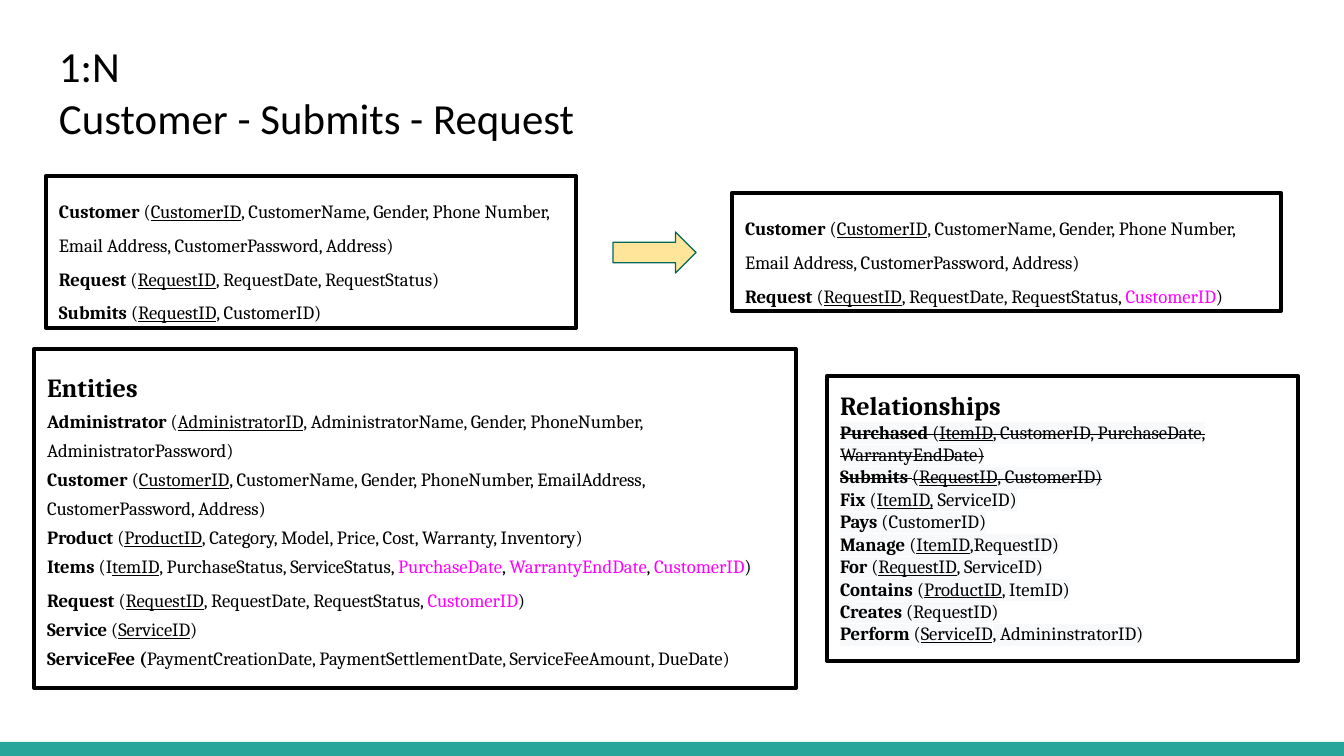
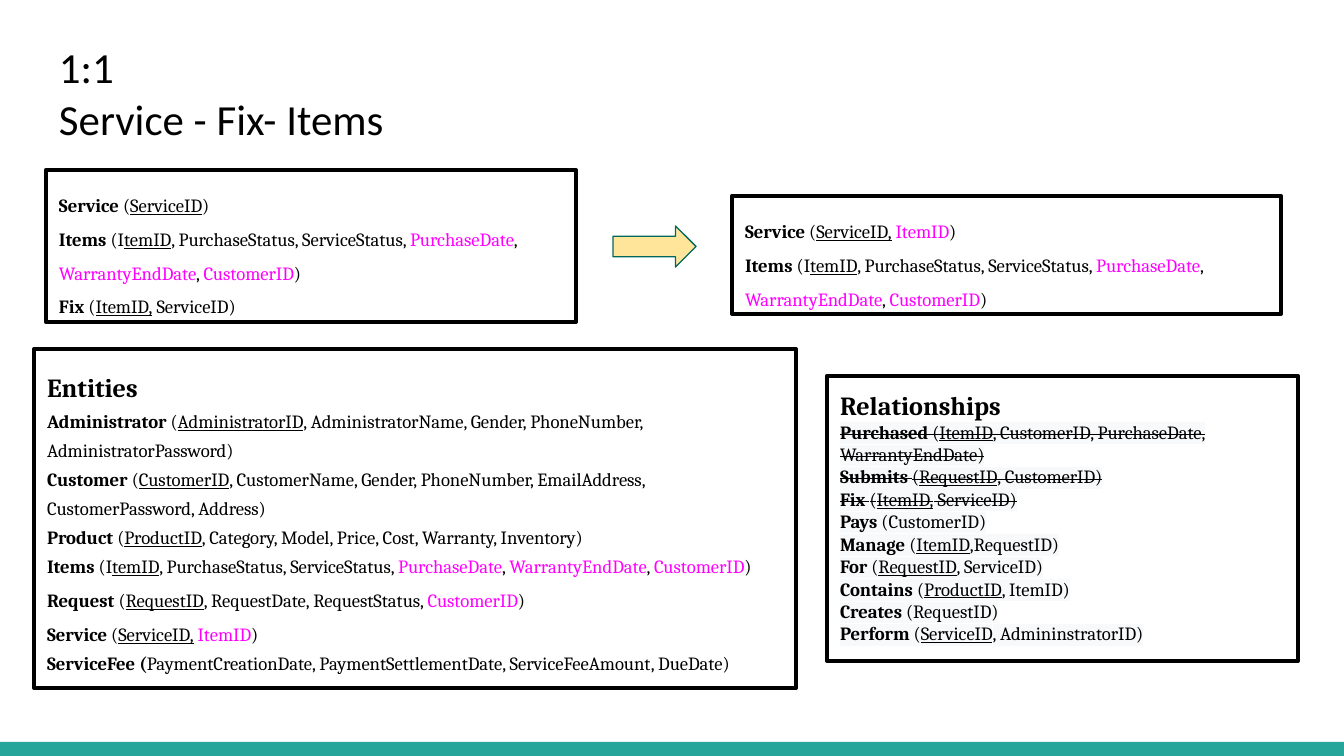
from lxml.etree import SubElement
from pptx import Presentation
from pptx.dml.color import RGBColor
from pptx.enum.shapes import MSO_SHAPE
from pptx.enum.text import MSO_ANCHOR, MSO_AUTO_SIZE, PP_ALIGN
from pptx.oxml.ns import qn
from pptx.util import Emu, Pt

EMU_PER_PX = 914400 / 134.4
SLIDE_W, SLIDE_H = 1344, 756
BAND_H = 14
INSET = 13

COLORS = {
    "ink": "000000",
    "foreign_key": "FF00FF",
    "band": "26A69A",
    "arrow": "FFE599",
    "arrow_edge": "00695C",
    "highlight": "F8F9FA",
}

# Relations: bold name | attributes, with _key_ underlined and ^foreign key^ coloured
CUSTOMER_SPACED = ("Customer |(_CustomerID_, CustomerName, Gender, Phone Number, "
                   "Email Address, CustomerPassword, Address)")
ITEMS = ("Items |(I_temID_, PurchaseStatus, ServiceStatus, "
         "^PurchaseDate^, ^WarrantyEndDate^, ^CustomerID^)")
REQUEST = "Request |(_RequestID_, RequestDate, RequestStatus)"
REQUEST_LINKED = "Request |(_RequestID_, RequestDate, RequestStatus, ^CustomerID^)"
SERVICE = "Service |(_ServiceID_)"
SERVICE_LINKED = "Service |(_ServiceID,_ ^ItemID^)"
SUBMITS = "Submits |(_RequestID_, CustomerID)"
FIX = "Fix |(_ItemID,_ ServiceID)"

ENTITIES_BEFORE_SERVICE = [
    "Administrator |(_AdministratorID_, AdministratorName, Gender, PhoneNumber, "
    "AdministratorPassword)",
    "Customer |(_CustomerID_, CustomerName, Gender, PhoneNumber, EmailAddress, "
    "CustomerPassword, Address)",
    "Product |(_ProductID_, Category, Model, Price, Cost, Warranty, Inventory)",
    ITEMS,
    REQUEST_LINKED,
]
SERVICE_FEE = ("ServiceFee (|PaymentCreationDate, PaymentSettlementDate, "
               "ServiceFeeAmount, DueDate)")
RELATIONSHIPS = [
    "Purchased |(_ItemID_, CustomerID, PurchaseDate, WarrantyEndDate)",
    SUBMITS,
    FIX,
    "Pays |(CustomerID)",
    "Manage |(_ItemID_,RequestID)",
    "For |(_RequestID_, ServiceID)",
    "Contains |(_ProductID_, ItemID)",
    "Creates |(RequestID)",
    "Perform |(_ServiceID_, AdmininstratorID)",
]

MAPPINGS = [
    {
        "title": ["1:N", "Customer - Submits - Request"],
        "tops": {"title": 27, "before": 176, "arrow": 232, "after": 193},
        "before": [CUSTOMER_SPACED, REQUEST, SUBMITS],
        "after": [CUSTOMER_SPACED, REQUEST_LINKED],
        "service": SERVICE,
        "resolved": 2,
    },
    {
        "title": ["1:1", "Service - Fix- Items"],
        "tops": {"title": 28, "before": 170, "arrow": 226, "after": 196},
        "before": [SERVICE, ITEMS, FIX],
        "after": [SERVICE_LINKED, ITEMS],
        "service": SERVICE_LINKED,
        "resolved": 3,
    },
]


def px(length):
    return Emu(round(length * EMU_PER_PX))


def rgb(name):
    return RGBColor.from_string(COLORS[name])


def place(part, box):
    part.left, part.top, part.width, part.height = map(px, box)


def outline(part, color="ink", weight=2.25):
    part.line.color.rgb = rgb(color)
    part.line.width = Pt(weight)


def add_text(paragraph, text, size=10, font="Cambria", color="ink", bold=False,
             underline=False, strike=False, highlight=None):
    run = paragraph.add_run()
    run.text = text
    run.font.size, run.font.name = Pt(size), font
    run.font.bold, run.font.underline = bold, underline
    run.font.color.rgb = rgb(color)
    properties = run.font.color and run._r.get_or_add_rPr()
    if strike:
        properties.set("strike", "sngStrike")
    if highlight:
        marker = SubElement(properties, qn("a:highlight"))
        SubElement(marker, qn("a:srgbClr")).set("val", COLORS[highlight])
        properties.find(qn("a:latin")).addprevious(marker)


def add_relation(paragraph, relation, **style):
    name, _, attributes = relation.partition("|")
    add_text(paragraph, name, bold=True, **style)
    for i, section in enumerate(attributes.split("_")):
        for j, words in enumerate(section.split("^")):
            if words:
                add_text(paragraph, words, underline=i % 2 == 1,
                         color="foreign_key" if j % 2 else "ink", **style)


def prepare_frame(part, auto_size=MSO_AUTO_SIZE.NONE):
    frame = part.text_frame
    frame.word_wrap = True
    frame.auto_size = auto_size
    frame.vertical_anchor = MSO_ANCHOR.TOP
    frame.margin_left = frame.margin_right = px(INSET)
    frame.margin_top = frame.margin_bottom = px(INSET)
    return frame


def paragraphs(frame, count, spacing=1.0):
    while len(frame.paragraphs) < count:
        frame.add_paragraph()
    for paragraph in frame.paragraphs:
        paragraph.alignment = PP_ALIGN.LEFT
        paragraph.line_spacing = spacing
        paragraph.space_before = paragraph.space_after = Pt(0)
    return frame.paragraphs


def add_shape(slide, kind, box, fill=None):
    shape = slide.shapes.add_shape(kind, *map(px, box))
    shape.shadow.inherit = False
    if fill:
        shape.fill.solid()
        shape.fill.fore_color.rgb = rgb(fill)
    else:
        shape.fill.background()
    return shape


def add_panel(slide, box):
    panel = add_shape(slide, MSO_SHAPE.RECTANGLE, box)
    outline(panel)
    return prepare_frame(panel, MSO_AUTO_SIZE.SHAPE_TO_FIT_TEXT)


def title_region(slide, box, lines):
    title = slide.shapes.title
    place(title, box)
    frame = prepare_frame(title)
    for paragraph, line in zip(paragraphs(frame, len(lines)), lines):
        add_text(paragraph, line, size=23, font="Calibri")


def schema_region(slide, box, relations):
    frame = add_panel(slide, box)
    for paragraph, relation in zip(paragraphs(frame, len(relations), 1.5), relations):
        add_relation(paragraph, relation)


def arrow_region(slide, box):
    arrow = add_shape(slide, MSO_SHAPE.RIGHT_ARROW, box, fill="arrow")
    outline(arrow, "arrow_edge", 0.75)


def entities_region(slide, box, relations):
    entities = slide.placeholders[1]
    place(entities, box)
    outline(entities)
    frame = prepare_frame(entities)
    heading, *rows = paragraphs(frame, len(relations) + 1, 1.3)
    add_text(heading, "Entities", size=14, bold=True)
    for row, relation in zip(rows, relations):
        if relation in (REQUEST_LINKED, SERVICE_LINKED):
            row.line_spacing = 1.5
        add_relation(row, relation)
    # Plain rows without bullets or hanging indents
    for paragraph in frame.paragraphs:
        properties = paragraph._p.get_or_add_pPr()
        properties.set("marL", "0")
        properties.set("indent", "0")
        SubElement(properties, qn("a:buNone"))


def relationships_region(slide, box, resolved):
    frame = add_panel(slide, box)
    heading, *rows = paragraphs(frame, len(RELATIONSHIPS) + 1)
    add_text(heading, "Relationships", size=14, bold=True)
    for i, (row, relation) in enumerate(zip(rows, RELATIONSHIPS)):
        add_relation(row, relation, strike=i < resolved, highlight="highlight")


def mapping_slide(prs, mapping):
    slide = prs.slides.add_slide(prs.slide_layouts[1])
    tops = mapping["tops"]
    title_region(slide, (46, tops["title"], 1252, 129), mapping["title"])
    schema_region(slide, (46, tops["before"], 530, 152), mapping["before"])
    arrow_region(slide, (613, tops["arrow"], 83, 41))
    schema_region(slide, (732, tops["after"], 549, 118), mapping["after"])
    entities_region(slide, (34, 349, 762, 339),
                    [*ENTITIES_BEFORE_SERVICE, mapping["service"], SERVICE_FEE])
    relationships_region(slide, (827, 376, 471, 285), mapping["resolved"])
    return slide


def master_band(prs, slide):
    # The band is drawn once and moved to the back of the slide master
    band = add_shape(slide, MSO_SHAPE.RECTANGLE,
                     (0, SLIDE_H - BAND_H, SLIDE_W, BAND_H), fill="band")
    band.line.fill.background()
    band.element.nvSpPr.cNvPr.set("id", "20")
    prs.slide_master.element.cSld.spTree.insert(2, band.element)


def main():
    prs = Presentation()
    prs.slide_width, prs.slide_height = px(SLIDE_W), px(SLIDE_H)
    slides = [mapping_slide(prs, mapping) for mapping in MAPPINGS]
    master_band(prs, slides[0])
    prs.save("out.pptx")


if __name__ == "__main__":
    main()
